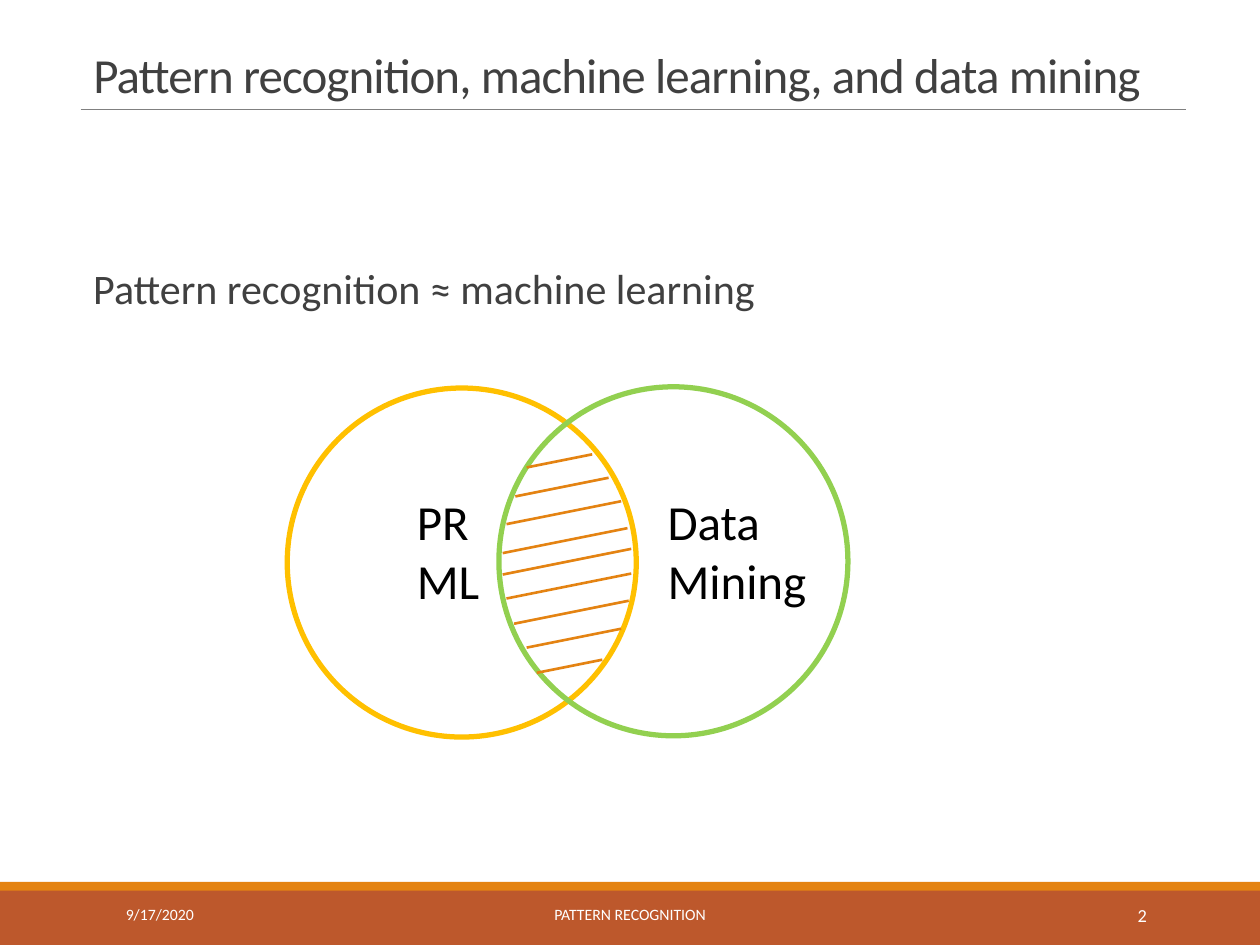
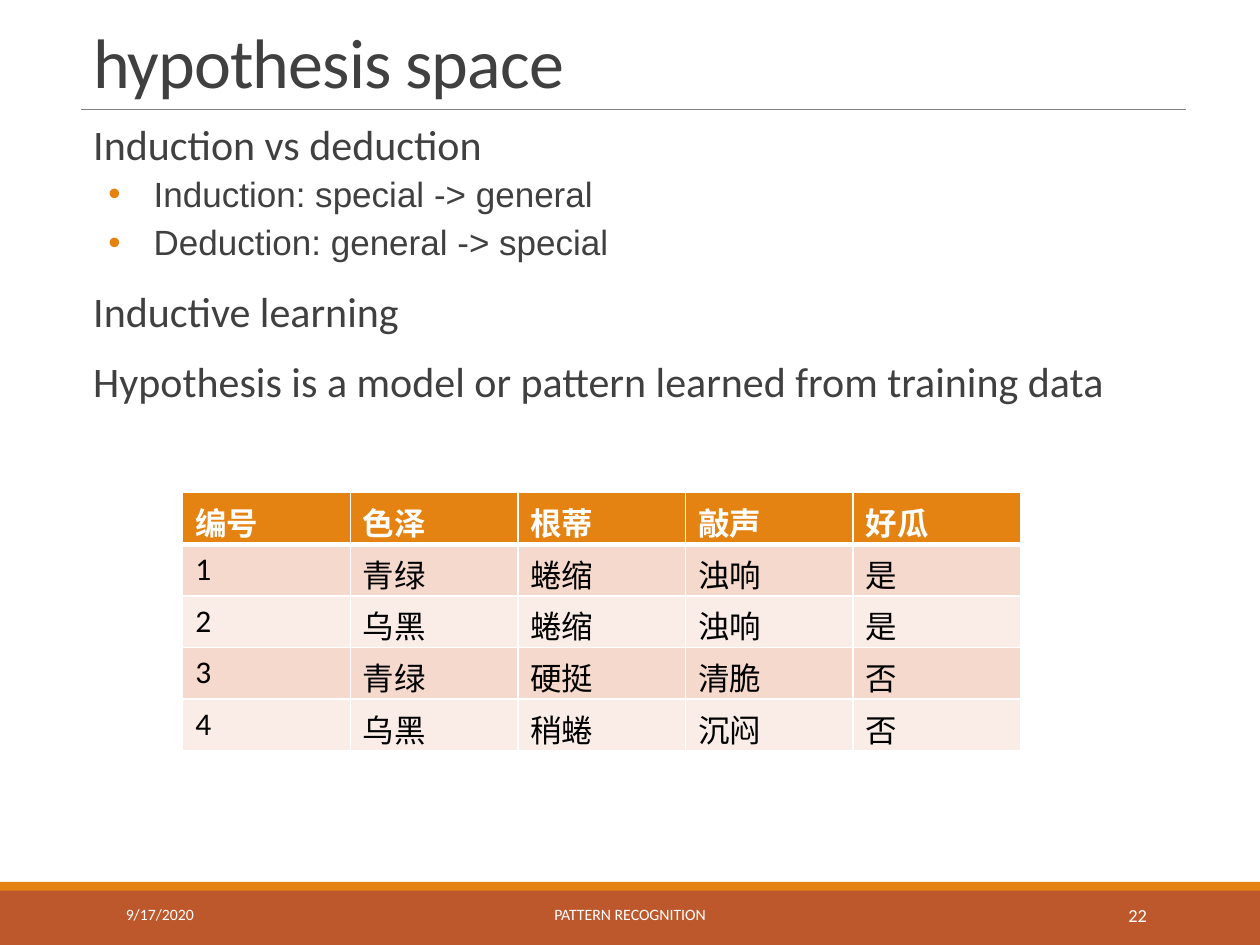
from lxml import etree
from pptx import Presentation
from pptx.dml.color import RGBColor
from pptx.enum.shapes import MSO_CONNECTOR, MSO_SHAPE
from pptx.enum.text import MSO_ANCHOR, MSO_AUTO_SIZE, PP_ALIGN
from pptx.oxml.ns import qn
from pptx.util import Inches, Pt

LEFT, CENTER, RIGHT = PP_ALIGN.LEFT, PP_ALIGN.CENTER, PP_ALIGN.RIGHT
TOP, MIDDLE, BOTTOM = MSO_ANCHOR.TOP, MSO_ANCHOR.MIDDLE, MSO_ANCHOR.BOTTOM
RECTANGLE, OVAL = MSO_SHAPE.RECTANGLE, MSO_SHAPE.OVAL
STRAIGHT = MSO_CONNECTOR.STRAIGHT
NO_AUTOFIT = MSO_AUTO_SIZE.NONE

COLORS = {
    "accent": "E48312", "footer": "BD582C", "text": "404040", "rule": "808080",
    "white": "FFFFFF", "black": "000000", "yellow": "FFC000", "green": "92D050",
    "odd row": "F5D9CC", "even row": "FAEDE7",
}

# Content
FOOTER_DATE = "9/17/2020"
FOOTER_TITLE = "PATTERN RECOGNITION"

VENN = {
    "title": "Pattern recognition, machine learning, and data mining",
    "title_size": 28,
    "number": "2",
    "body_top": 2.08,
    "body": [(0, "Pattern recognition ≈ machine learning")],
}
HYPOTHESIS = {
    "title": "hypothesis space",
    "title_size": 40,
    "number": "22",
    "body_top": 0.94,
    "body": [
        (0, "Induction vs deduction"),
        (1, "Induction: special -> general"),
        (1, "Deduction: general -> special"),
        (0, "Inductive learning"),
        (0, "Hypothesis is a model or pattern learned from training data"),
    ],
}
CIRCLES = [((2.28, 3.08), "yellow"), ((3.96, 3.07), "green")]
CIRCLE_LABELS = [((3.21, 3.85, 1.25, 1.04), ["PR", "ML"]),
                 ((5.2, 3.85, 1.43, 1.04), ["Data Mining"])]
# Left end, its height on the slide, right end of each hatch line
HATCHES = [
    (4.18, 3.71, 4.70), (4.09, 3.94, 4.83), (4.02, 4.16, 4.93),
    (3.99, 4.39, 4.98), (3.99, 4.56, 5.01), (4.02, 4.75, 5.01),
    (4.08, 4.95, 4.99), (4.18, 5.14, 4.93), (4.26, 5.34, 4.78),
]
MELONS = [
    ["编号", "色泽", "根蒂", "敲声", "好瓜"],
    ["1", "青绿", "蜷缩", "浊响", "是"],
    ["2", "乌黑", "蜷缩", "浊响", "是"],
    ["3", "青绿", "硬挺", "清脆", "否"],
    ["4", "乌黑", "稍蜷", "沉闷", "否"],
]

# Layout
WIDTH, HEIGHT = 10, 7.5
MARGIN, CONTENT_WIDTH, BODY_BOTTOM = 0.64, 8.77, 6.89
RULE_Y, TITLE_TOP = 0.87, 0.13
STRIPE_TOP, FOOTER_TOP = 7.0, 7.06
CIRCLE_SIZE = 2.77
HATCH_SLOPE = 0.2
TABLE_LEFT, TABLE_TOP = 1.45, 3.91
COLUMN_WIDTH, ROW_HEIGHT = 1.33, 0.41
LEVELS = [
    {"size": 24, "font": "Calibri", "before": 12, "after": 2, "indent": (0.1, 0)},
    {"size": 20, "font": "Arial", "before": 2, "after": 4,
     "indent": (0.58, -0.36), "bullet": "•"},
]


def rgb(name):
    return RGBColor.from_string(COLORS[name])


def inches(values):
    return [Inches(value) for value in values]


def write(paragraph, text, size=18, color="text", font="Calibri", bold=False,
          align=LEFT, line_spacing=None, before=None, after=None,
          indent=None, bullet=None, tracking=None):
    properties = paragraph._p.get_or_add_pPr()
    if indent:
        properties.set("marL", str(Inches(indent[0])))
        properties.set("indent", str(Inches(indent[1])))
    if bullet:
        bullet_color = etree.SubElement(properties, qn("a:buClr"))
        etree.SubElement(bullet_color, qn("a:srgbClr"), val=COLORS["accent"])
        etree.SubElement(properties, qn("a:buFont"), typeface="Arial")
        etree.SubElement(properties, qn("a:buChar"), char=bullet)
    paragraph.alignment = align
    paragraph.line_spacing = line_spacing
    if before is not None:
        paragraph.space_before = Pt(before)
    if after is not None:
        paragraph.space_after = Pt(after)
    run = paragraph.add_run()
    run.text = text
    run.font.size, run.font.name, run.font.bold = Pt(size), font, bold
    run.font.color.rgb = rgb(color)
    if tracking is not None:
        run._r.get_or_add_rPr().set("spc", str(int(tracking * 100)))


def add_text(slide, box, lines, anchor=TOP, **text_format):
    frame = slide.shapes.add_textbox(*inches(box)).text_frame
    frame.word_wrap = True
    frame.vertical_anchor = anchor
    for index, line in enumerate(lines):
        paragraph = frame.add_paragraph() if index else frame.paragraphs[0]
        write(paragraph, line, **text_format)


def add_shape(slide, kind, box, fill=None, line=None, line_width=3):
    shape = slide.shapes.add_shape(kind, *inches(box))
    shape.shadow.inherit = False
    if fill:
        shape.fill.solid()
        shape.fill.fore_color.rgb = rgb(fill)
    else:
        shape.fill.background()
    if line:
        shape.line.color.rgb = rgb(line)
        shape.line.width = Pt(line_width)
    else:
        shape.line.fill.background()


def add_line(slide, ends, color, width):
    connector = slide.shapes.add_connector(STRAIGHT, *inches(ends))
    connector.line.color.rgb = rgb(color)
    connector.line.width = Pt(width)
    etree.SubElement(connector._element.spPr, qn("a:effectLst"))


def add_body(slide, top, items):
    box = (MARGIN, top, CONTENT_WIDTH, BODY_BOTTOM - top)
    frame = slide.shapes.add_textbox(*inches(box)).text_frame
    frame.word_wrap = True
    frame.margin_left = frame.margin_right = 0
    for index, (level, text) in enumerate(items):
        paragraph = frame.add_paragraph() if index else frame.paragraphs[0]
        paragraph.level = level
        text_format = dict(LEVELS[level])
        if index == 0:
            text_format["before"] = 0
        write(paragraph, text, line_spacing=0.9, **text_format)


def add_base_slide(presentation, content):
    """Add a slide with the shared bands, rule, title, body and footer."""
    slide = presentation.slides.add_slide(presentation.slide_layouts[5])
    add_shape(slide, RECTANGLE, (0, FOOTER_TOP, WIDTH, HEIGHT - FOOTER_TOP), "footer")
    add_shape(slide, RECTANGLE, (0, STRIPE_TOP, WIDTH, 0.07), "accent")
    add_line(slide, (MARGIN, RULE_Y, MARGIN + CONTENT_WIDTH, RULE_Y), "rule", 0.5)

    title = slide.shapes.title
    title.left, title.top, title.width, title.height = inches(
        (MARGIN, TITLE_TOP, CONTENT_WIDTH, RULE_Y - TITLE_TOP))
    frame = title.text_frame
    frame.auto_size = NO_AUTOFIT
    frame.word_wrap = True
    frame.vertical_anchor = BOTTOM
    write(frame.paragraphs[0], content["title"], size=content["title_size"],
          line_spacing=0.85, before=0, tracking=-0.5)

    add_body(slide, content["body_top"], content["body"])
    footers = [(0.9, 2.03, FOOTER_DATE, 9, LEFT),
               (3.02, 3.96, FOOTER_TITLE, 9, CENTER),
               (8.12, 1.08, content["number"], 10.5, RIGHT)]
    for left, width, text, size, align in footers:
        add_text(slide, (left, FOOTER_TOP, width, 0.4), [text], anchor=MIDDLE,
                 size=size, color="white", align=align)
    return slide


def add_venn_diagram(slide):
    for position, color in CIRCLES:
        add_shape(slide, OVAL, (*position, CIRCLE_SIZE, CIRCLE_SIZE), line=color)
    for box, lines in CIRCLE_LABELS:
        add_text(slide, box, lines, size=28, color="black")
    for left, low, right in HATCHES:
        high = low - HATCH_SLOPE * (right - left)
        add_line(slide, (left, low, right, high), "accent", 1.5)


def set_borders(cell, widths):
    """Draw white borders; widths maps a side (L, R, T, B) to points."""
    properties = cell._tc.get_or_add_tcPr()
    for side, width in widths.items():
        border = etree.SubElement(properties, qn(f"a:ln{side}"), w=str(Pt(width)))
        fill = etree.SubElement(border, qn("a:solidFill"))
        etree.SubElement(fill, qn("a:srgbClr"), val=COLORS["white"])


def add_melon_table(slide):
    row_count, column_count = len(MELONS), len(MELONS[0])
    table = slide.shapes.add_table(row_count, column_count, *inches(
        (TABLE_LEFT, TABLE_TOP, column_count * COLUMN_WIDTH,
         row_count * ROW_HEIGHT))).table
    for column in table.columns:
        column.width = Inches(COLUMN_WIDTH)
    for row_index, values in enumerate(MELONS):
        table.rows[row_index].height = Inches(ROW_HEIGHT)
        header = row_index == 0
        fill = "accent" if header else "odd row" if row_index % 2 else "even row"
        borders = {"L": 1, "R": 1, "T": 3 if row_index == 1 else 1,
                   "B": 3 if header else 1}
        for column_index, value in enumerate(values):
            cell = table.cell(row_index, column_index)
            set_borders(cell, borders)
            cell.fill.solid()
            cell.fill.fore_color.rgb = rgb(fill)
            write(cell.text_frame.paragraphs[0], value, bold=header,
                  color="white" if header else "black")


def main():
    presentation = Presentation()
    presentation.slide_width, presentation.slide_height = inches((WIDTH, HEIGHT))
    add_venn_diagram(add_base_slide(presentation, VENN))
    add_melon_table(add_base_slide(presentation, HYPOTHESIS))
    presentation.save("out.pptx")


if __name__ == "__main__":
    main()
